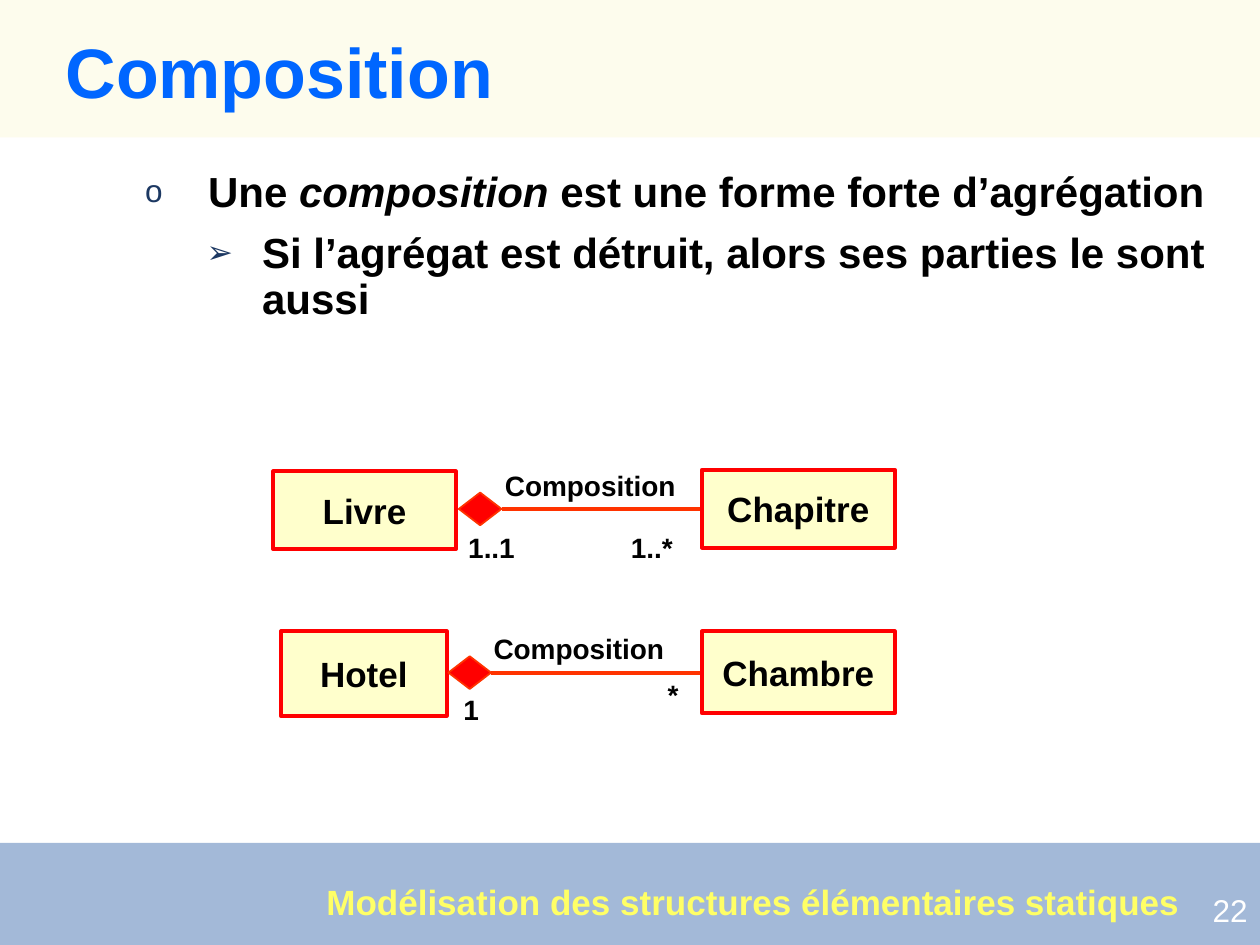
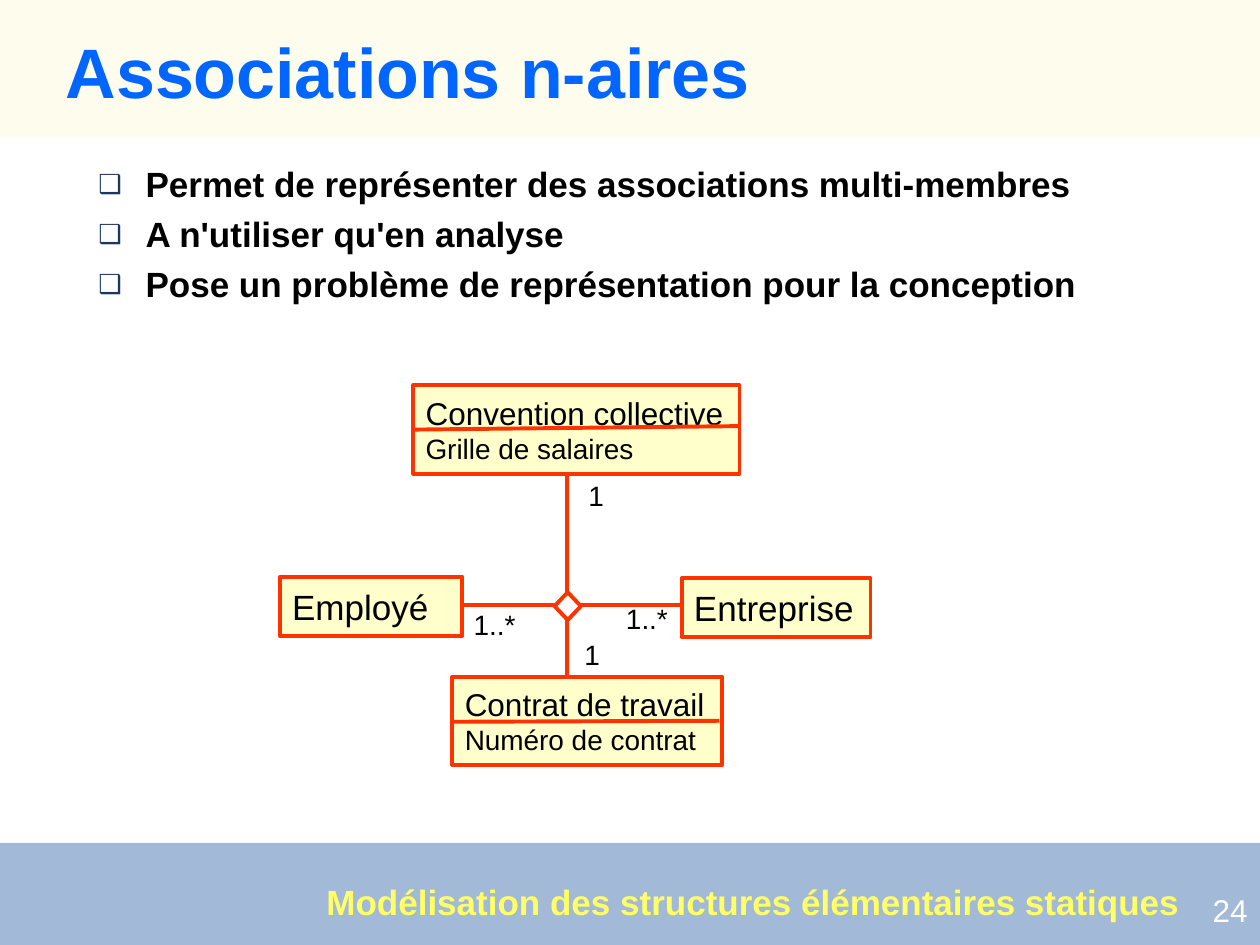
from dataclasses import dataclass

import pptx
import pptx.dml.color
import pptx.enum.shapes
import pptx.enum.text
import pptx.oxml
import pptx.oxml.ns
import pptx.util
from lxml import etree

Cm = pptx.util.Cm
Pt = pptx.util.Pt
RGBColor = pptx.dml.color.RGBColor
PP_ALIGN = pptx.enum.text.PP_ALIGN
MSO_ANCHOR = pptx.enum.text.MSO_ANCHOR
MSO_SHAPE = pptx.enum.shapes.MSO_SHAPE
qn = pptx.oxml.ns.qn

BLACK = RGBColor(0, 0, 0)
WHITE = RGBColor(0xFF, 0xFF, 0xFF)
BLUE = RGBColor(0x00, 0x66, 0xFF)
NAVY = RGBColor(0x1C, 0x38, 0x62)
YELLOW = RGBColor(0xFF, 0xFF, 0x66)
CLASS_FILL = RGBColor(0xFF, 0xFF, 0xCC)
RED = RGBColor(0xFF, 0x00, 0x00)
ORANGE = RGBColor(0xFF, 0x33, 0x00)
HEADER_BAND = RGBColor(0xFD, 0xFC, 0xED)
FOOTER_BAND = RGBColor(0xA3, 0xB9, 0xD8)

FONT = "Arial"
FOOTER = "Modélisation des structures élémentaires statiques"
WIDTH, HEIGHT = 25.4, 19.05
LINE_WIDTH = 2.25


@dataclass
class Area:
    """Left, top, width and height in centimetres."""
    x: float
    y: float
    w: float
    h: float

    def emu(self) -> tuple:
        return Cm(self.x), Cm(self.y), Cm(self.w), Cm(self.h)


@dataclass
class ClassBox:
    area: Area
    lines: list[tuple[str, int]]


@dataclass
class Label:
    text: str
    x: float
    y: float
    w: float = 1.55


@dataclass
class Bullet:
    """A list item; its runs are (text, italic) pairs."""
    runs: list[tuple[str, bool]]
    char: str
    margin: float
    hanging: float
    level: int = 0


def write(p, text: str, size: float = 16, bold: bool = False, italic: bool = False,
          color: RGBColor = BLACK) -> None:
    r = p.add_run()
    r.text = text
    r.font.name = FONT
    r.font.size = Pt(size)
    r.font.bold = bold
    r.font.italic = italic
    r.font.color.rgb = color


def draw_shape(s, kind, area: Area, fill: RGBColor, line: RGBColor | None = None,
               line_width: float = LINE_WIDTH):
    sp = s.shapes.add_shape(kind, *area.emu())
    sp.shadow.inherit = False
    sp.fill.solid()
    sp.fill.fore_color.rgb = fill
    if line is None:
        sp.line.fill.background()
    else:
        sp.line.color.rgb = line
        sp.line.width = Pt(line_width)
    return sp


def draw_line(s, x1: float, y1: float, x2: float, y2: float) -> None:
    line = s.shapes.add_connector(pptx.enum.shapes.MSO_CONNECTOR.STRAIGHT,
                                  Cm(x1), Cm(y1), Cm(x2), Cm(y2))
    line.line.color.rgb = ORANGE
    line.line.width = Pt(LINE_WIDTH)
    etree.SubElement(line._element.spPr, qn("a:effectLst"))


def draw_text(s, text: str, area: Area, align=PP_ALIGN.LEFT, margin: bool = True, **style) -> None:
    tf = s.shapes.add_textbox(*area.emu()).text_frame
    tf.word_wrap = True
    if not margin:
        tf.margin_left = tf.margin_right = tf.margin_top = tf.margin_bottom = 0
    p = tf.paragraphs[0]
    p.alignment = align
    write(p, text, **style)


def draw_class(s, box: ClassBox, line: RGBColor, align, bold: bool) -> None:
    tf = draw_shape(s, MSO_SHAPE.RECTANGLE, box.area, CLASS_FILL, line).text_frame
    tf.word_wrap = True
    tf.vertical_anchor = MSO_ANCHOR.MIDDLE
    for i, (text, size) in enumerate(box.lines):
        p = tf.add_paragraph() if i else tf.paragraphs[0]
        p.alignment = align
        write(p, text, size=size, bold=bold)


def draw_label(s, label: Label, bold: bool) -> None:
    draw_text(s, label.text, Area(label.x, label.y, label.w, 0.94), bold=bold)


def place(ph, area: Area):
    """Move a placeholder and return its text frame, set to start at the top."""
    ph.left, ph.top, ph.width, ph.height = area.emu()
    tf = ph.text_frame
    tf.word_wrap = True
    tf.auto_size = pptx.enum.text.MSO_AUTO_SIZE.NONE
    tf.vertical_anchor = MSO_ANCHOR.TOP
    return tf


def set_bullet(p, bullet: Bullet) -> None:
    p_pr = p._p.get_or_add_pPr()
    p_pr.set("marL", str(Cm(bullet.margin)))
    p_pr.set("indent", str(-Cm(bullet.hanging)))
    color = etree.SubElement(p_pr, qn("a:buClr"))
    etree.SubElement(color, qn("a:srgbClr"), val=str(NAVY))
    etree.SubElement(p_pr, qn("a:buSzPct"), val="75000")
    etree.SubElement(p_pr, qn("a:buFont"), typeface=FONT)
    etree.SubElement(p_pr, qn("a:buChar"), char=bullet.char)


def fill_list(ph, area: Area, bullets: list[Bullet], size: float, gap: float) -> None:
    tf = place(ph, area)
    for i, bullet in enumerate(bullets):
        p = tf.add_paragraph() if i else tf.paragraphs[0]
        set_bullet(p, bullet)
        p.level = bullet.level
        p.alignment = PP_ALIGN.LEFT
        p.line_spacing = 0.9
        p.space_before = Pt(gap if i else 0)
        for text, italic in bullet.runs:
            write(p, text, size=size, bold=True, italic=italic)


def add_page(prs, title: str, number: int):
    """Add a slide with its bands, title, footer and page number."""
    s = prs.slides.add_slide(prs.slide_layouts[1])
    bands = (
        draw_shape(s, MSO_SHAPE.RECTANGLE, Area(0, 0, WIDTH, 2.77), HEADER_BAND),
        draw_shape(s, MSO_SHAPE.RECTANGLE, Area(0, 16.99, WIDTH, 2.06), FOOTER_BAND),
    )
    for band in reversed(bands):
        s.shapes._spTree.insert(2, band._element)
    p = place(s.shapes.title, Area(1.07, 0.64, 23.8, 1.78)).paragraphs[0]
    p.alignment = PP_ALIGN.LEFT
    p.line_spacing = 0.9
    write(p, title, size=40, bold=True, color=BLUE)
    draw_text(s, str(number), Area(22.91, 17.83, 2.49, 1.02), align=PP_ALIGN.RIGHT,
              size=18, color=WHITE)
    draw_text(s, FOOTER, Area(6.58, 17.75, 17.6, 0.84), margin=False,
              size=20, bold=True, color=YELLOW)
    return s


def build_composition(prs) -> None:
    s = add_page(prs, "Composition", 22)
    bullets = [
        Bullet([("Une ", False), ("composition", True),
                (" est une forme forte d’agrégation", False)], "o", 2.87, 1.27, 1),
        Bullet([("Si l’agrégat est détruit, alors ses parties le sont aussi", False)],
               "➢", 3.96, 1.12, 2),
    ]
    fill_list(s.placeholders[1], Area(1.07, 3.33, 23.83, 5.64), bullets, size=24, gap=9)

    classes = [
        ClassBox(Area(5.51, 9.5, 3.68, 1.57), [("Livre", 20)]),
        ClassBox(Area(14.15, 9.47, 3.89, 1.57), [("Chapitre", 20)]),
        ClassBox(Area(5.66, 12.73, 3.35, 1.7), [("Hotel", 20)]),
        ClassBox(Area(14.15, 12.73, 3.89, 1.65), [("Chambre", 20)]),
    ]
    for box in classes:
        draw_class(s, box, RED, PP_ALIGN.CENTER, bold=True)

    diamond_w, diamond_h = 0.86, 0.66
    for x, middle in ((9.25, 10.26), (9.04, 13.56)):
        area = Area(x, middle - diamond_h / 2, diamond_w, diamond_h)
        draw_shape(s, MSO_SHAPE.DIAMOND, area, RED, ORANGE, line_width=1)
        draw_line(s, x + diamond_w, middle, 14.12, middle)

    labels = [
        Label("Composition", 9.93, 9.32, 4.5),
        Label("1..1", 9.19, 10.57),
        Label("1..*", 12.47, 10.57),
        Label("Composition", 9.7, 12.6, 4.5),
        Label("1", 9.09, 13.84),
        Label("*", 13.21, 13.54),
    ]
    for label in labels:
        draw_label(s, label, bold=True)


def build_nary(prs) -> None:
    s = add_page(prs, "Associations n-aires", 24)
    items = (
        "Permet de représenter des associations multi-membres",
        "A n'utiliser qu'en analyse",
        "Pose un problème de représentation pour la conception",
    )
    bullets = [Bullet([(item, False)], "❑", 0.95, 0.95) for item in items]
    fill_list(s.placeholders[1], Area(1.73, 3.25, 21.87, 3.48), bullets, size=20, gap=7)

    classes = [
        ClassBox(Area(5.64, 11.63, 3.68, 1.19), [("Employé", 20)]),
        ClassBox(Area(13.74, 11.66, 3.81, 1.19), [("Entreprise", 20)]),
        ClassBox(Area(9.12, 13.64, 5.44, 1.78),
                 [("Contrat de travail", 18), ("Numéro de contrat", 16)]),
        ClassBox(Area(8.33, 7.77, 6.58, 1.78),
                 [("Convention collective", 18), ("Grille de salaires", 16)]),
    ]
    for box in classes:
        draw_class(s, box, ORANGE, PP_ALIGN.LEFT, bold=False)

    associations = [(9.35, 12.19, 13.74, 12.19), (11.43, 9.55, 11.43, 12.24),
                    (11.43, 12.22, 11.43, 13.61)]
    dividers = [(9.12, 14.55, 14.5, 14.53), (8.36, 8.66, 14.88, 8.59)]
    for ends in associations + dividers:
        draw_line(s, *ends)
    draw_shape(s, MSO_SHAPE.DIAMOND, Area(11.18, 11.94, 0.53, 0.56), WHITE, ORANGE)

    labels = [
        Label("1..*", 9.3, 12.12),
        Label("1..*", 12.37, 12.01),
        Label("1", 11.61, 9.53),
        Label("1", 11.53, 12.73),
    ]
    for label in labels:
        draw_label(s, label, bold=False)


def main() -> None:
    prs = pptx.Presentation()
    prs.slide_width, prs.slide_height = Cm(WIDTH), Cm(HEIGHT)
    build_composition(prs)
    build_nary(prs)
    prs.save("out.pptx")


if __name__ == "__main__":
    main()
